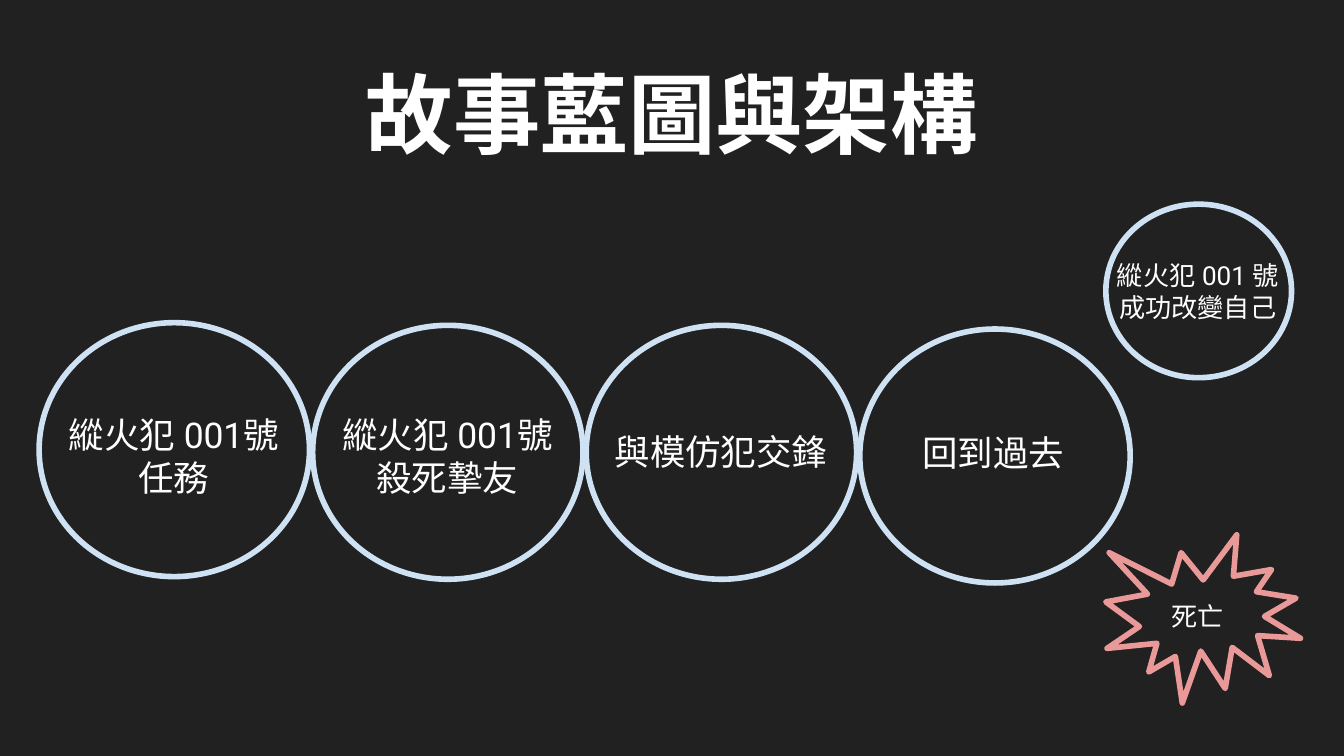
from lxml import etree
from pptx import Presentation, util as u
from pptx.dml import color
from pptx.enum import shapes, text
from pptx.oxml import ns

FONT = "Roboto"
BACKGROUND, WHITE, PALE_BLUE, CORAL = "212121", "FFFFFF", "CFE2F3", "EA9999"


def rgb(hex_value):
    return color.RGBColor.from_string(hex_value)


def write(shape, words, size=19, bold=False, ink=WHITE):
    """Put centred words in a shape; a line feed is a line break."""
    frame = shape.text_frame
    frame.word_wrap = True
    frame.auto_size = text.MSO_AUTO_SIZE.NONE
    frame.vertical_anchor = text.MSO_ANCHOR.MIDDLE
    frame.margin_left = frame.margin_right = u.Cm(0.25)
    frame.margin_top = frame.margin_bottom = u.Cm(0.25)
    paragraph = frame.paragraphs[0]
    paragraph.text = words.replace("\n", "\v")
    paragraph.alignment = text.PP_ALIGN.CENTER
    paragraph.line_spacing = 1.0
    for run in paragraph.runs:
        run.font.name = FONT
        run.font.size = u.Pt(size)
        run.font.bold = bold
        run.font.color.rgb = rgb(ink)
        # East Asian glyphs use the same font setting
        etree.SubElement(run.font._element, ns.qn("a:ea"), typeface=FONT)


class StorySlide:
    def __init__(self, deck):
        self.slide = deck.slides.add_slide(deck.slide_layouts[0])
        fill = self.slide.background.fill
        fill.solid()
        fill.fore_color.rgb = rgb(BACKGROUND)
        subtitle = self.slide.placeholders[1]._element
        subtitle.getparent().remove(subtitle)

    def title(self, words, box, size):
        heading = self.slide.shapes.title
        heading.left, heading.top, heading.width, heading.height = map(u.Cm, box)
        write(heading, words, size=size, bold=True)

    def outline(self, kind, box, line):
        figure = self.slide.shapes.add_shape(kind, *map(u.Cm, box))
        figure.shadow.inherit = False
        figure.fill.background()
        figure.line.color.rgb = rgb(line)
        figure.line.width = u.Pt(3)

    def label(self, words, box, **style):
        write(self.slide.shapes.add_textbox(*map(u.Cm, box)), words, **style)


def main():
    deck = Presentation()
    deck.slide_width, deck.slide_height = u.Cm(25.4), u.Cm(14.29)
    story = StorySlide(deck)
    story.title("故事藍圖與架構", (0.86, 1.07, 23.67, 2.11), size=46.8)

    # Four stages in a row: circle top, words, label box
    stages = [
        (6.1, "縱火犯 001號任務", (0.81, 7.77, 4.95, 1.7)),
        (6.15, "縱火犯 001號殺死摯友", (6.17, 7.77, 4.57, 1.7)),
        (6.15, "與模仿犯交鋒", (11.15, 7.75, 4.95, 1.57)),
        (6.22, "回到過去", (16.84, 8, 3.86, 1.12)),
    ]
    first_left, step = 0.74, 5.17
    for index, (top, words, box) in enumerate(stages):
        circle = (first_left + index * step, top, 5.11, 4.8)
        story.outline(shapes.MSO_SHAPE.OVAL, circle, PALE_BLUE)
        story.label(words, box)

    # Two endings: change or death
    story.outline(shapes.MSO_SHAPE.OVAL, (20.9, 3.86, 3.51, 3.28), PALE_BLUE)
    story.label("縱火犯 001 號\n成功改變自己", (20.47, 4.65, 4.34, 1.7), size=14)
    story.outline(shapes.MSO_SHAPE.EXPLOSION1, (20.9, 10.11, 3.68, 3.18), CORAL)
    story.label("死亡", (21.62, 11.25, 2.03, 0.79), size=14)

    deck.save("out.pptx")


if __name__ == "__main__":
    main()
